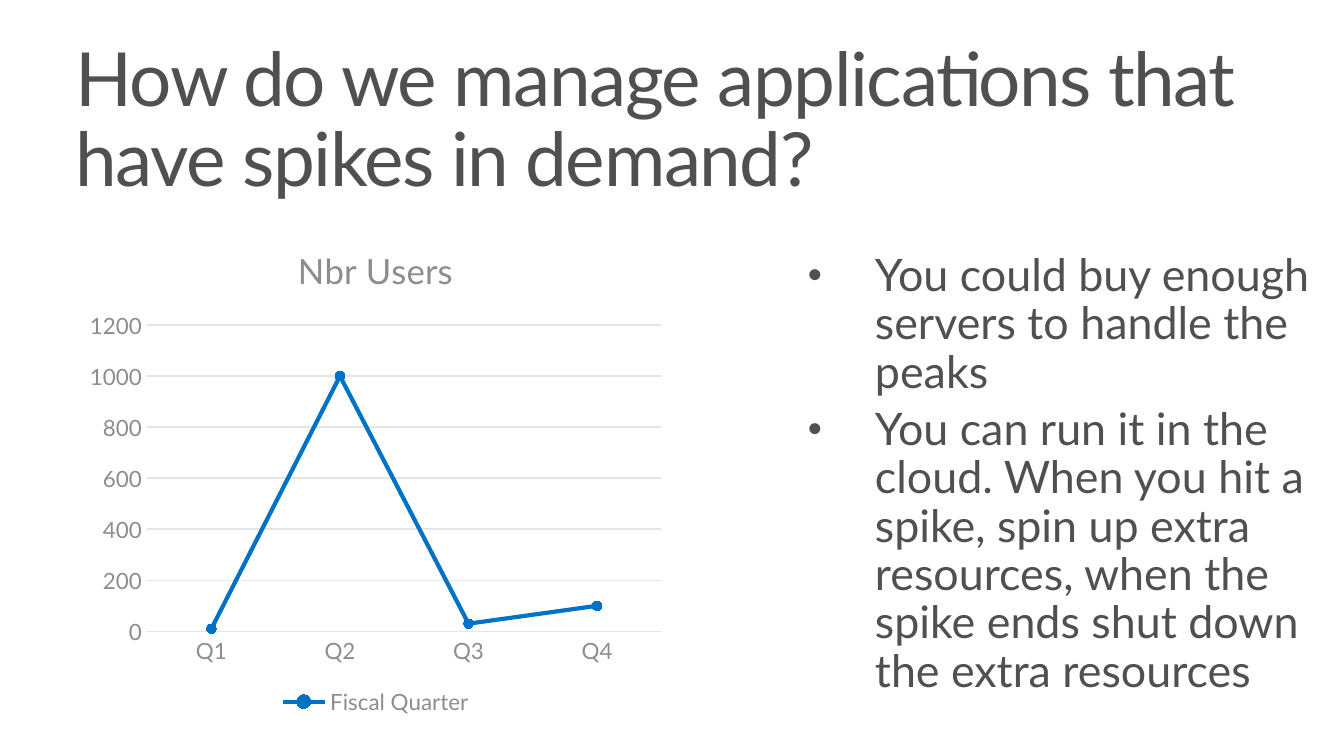
"""Build a slide on handling spikes in demand, with a line chart and bullets."""
from dataclasses import dataclass

from lxml import etree
from pptx import Presentation
from pptx import util as u
from pptx.chart.data import CategoryChartData
from pptx.dml.color import RGBColor
from pptx.enum import chart as ch
from pptx.enum import text
from pptx.oxml.ns import qn


@dataclass(frozen=True)
class Theme:
    """Fonts, colours and type sizes."""
    face: str = "Lato"
    ink: str = "505050"
    soft: str = "8D8D8D"
    rule: str = "E5E5E5"
    blue: str = "0072C6"
    head: float = 40
    body: float = 24
    name: float = 18.6
    note: float = 12


@dataclass(frozen=True)
class Block:
    """A text box with one style."""
    at: tuple[float, float, float, float]
    lines: tuple[str, ...]
    size: float
    dots: bool = False
    track: int = 0
    fit: text.MSO_AUTO_SIZE = text.MSO_AUTO_SIZE.NONE


LOOK = Theme()
BLOCKS = (
    Block((0.44, 0.24, 9.56, 0.74),
          ("How do we manage applications that have spikes in demand?",),
          LOOK.head, track=-75),
    Block((5.89, 1.81, 4.11, 3.5),
          ("You could buy enough servers to handle the peaks",
           "You can run it in the cloud. When you hit a spike, spin up extra "
           "resources, when the spike ends shut down the extra resources"),
          LOOK.body, dots=True, fit=text.MSO_AUTO_SIZE.SHAPE_TO_FIT_TEXT),
)
USERS = {"Q1": 10, "Q2": 1000, "Q3": 30, "Q4": 100}


def put(item, values: dict) -> None:
    """Set attributes from a dict of format values."""
    for key, value in values.items():
        setattr(item, key, value)


def ink(font, size: float, tone: str) -> None:
    """Style a font."""
    put(font, {"name": LOOK.face, "size": u.Pt(size), "bold": False})
    font.color.rgb = RGBColor.from_string(tone)


def line(form, tone: str, width: float) -> None:
    """Style the line of a chart part."""
    form.line.color.rgb = RGBColor.from_string(tone)
    form.line.width = u.Pt(width)


def dot(para) -> None:
    """Give a paragraph a hanging bullet."""
    props = para._p.get_or_add_pPr()
    for key, value in {"marL": 0.5, "indent": -0.5}.items():
        props.set(key, str(int(u.Inches(value))))
    etree.SubElement(props, qn("a:buSzPct"), val="90000")
    etree.SubElement(props, qn("a:buFont"), typeface="Arial")
    etree.SubElement(props, qn("a:buChar"), char="•")


def write(slide, block: Block) -> None:
    """Draw a text block."""
    frame = slide.shapes.add_textbox(*map(u.Inches, block.at)).text_frame
    put(frame, {"word_wrap": True, "auto_size": block.fit,
                "vertical_anchor": text.MSO_ANCHOR.TOP,
                "margin_left": u.Inches(0.12), "margin_right": u.Inches(0.12),
                "margin_top": u.Inches(0.07), "margin_bottom": u.Inches(0.07)})
    for i, words in enumerate(block.lines):
        para = frame.add_paragraph() if i else frame.paragraphs[0]
        if block.dots:
            dot(para)
        put(para, {"line_spacing": 0.9,
                   "space_before": u.Pt(0.2 * block.size if i else 0)})
        run = para.add_run()
        run.text = words
        ink(run.font, block.size, LOOK.ink)
        if block.track:
            run._r.get_or_add_rPr().set("spc", str(block.track))


def plot(slide) -> None:
    """Draw the chart of users by quarter."""
    data = CategoryChartData()
    data.categories = list(USERS)
    data.add_series("Fiscal Quarter", list(USERS.values()))
    box = map(u.Inches, (0.58, 1.65, 4.43, 3.71))
    chart = slide.shapes.add_chart(
        ch.XL_CHART_TYPE.LINE_MARKERS, *box, data).chart
    ink(chart.font, LOOK.note, LOOK.soft)
    put(chart, {"has_title": True, "has_legend": True})
    title = chart.chart_title.text_frame
    title.text = "Nbr Users"
    ink(title.paragraphs[0].runs[0].font, LOOK.name, LOOK.soft)
    put(chart.legend, {"position": ch.XL_LEGEND_POSITION.BOTTOM,
                       "include_in_layout": False})
    ink(chart.legend.font, LOOK.note, LOOK.soft)
    across, up = chart.category_axis, chart.value_axis
    for axis in (across, up):
        put(axis, {"major_tick_mark": ch.XL_TICK_MARK.NONE,
                   "minor_tick_mark": ch.XL_TICK_MARK.NONE})
        ink(axis.tick_labels.font, LOOK.note, LOOK.soft)
    line(across.format, LOOK.rule, 0.75)
    put(up, {"minimum_scale": 0, "maximum_scale": 1200, "major_unit": 200})
    up.format.line.fill.background()
    line(up.major_gridlines.format, LOOK.rule, 0.75)
    chart.plots[0].vary_by_categories = False
    users = chart.plots[0].series[0]
    users.smooth = False
    line(users.format, LOOK.blue, 2.25)
    put(users.marker, {"style": ch.XL_MARKER_STYLE.CIRCLE, "size": 5})
    form = users.marker.format
    form.fill.solid()
    form.fill.fore_color.rgb = RGBColor.from_string(LOOK.blue)
    line(form, LOOK.blue, 0.75)


def main() -> None:
    """Build and save a deck of one 16:9 slide."""
    deck = Presentation()
    wide = u.Inches(10)
    put(deck, {"slide_width": wide, "slide_height": wide * 9 // 16})
    slide = deck.slides.add_slide(deck.slide_layouts[6])
    for block in BLOCKS:
        write(slide, block)
    plot(slide)
    deck.save("out.pptx")


if __name__ == "__main__":
    main()
